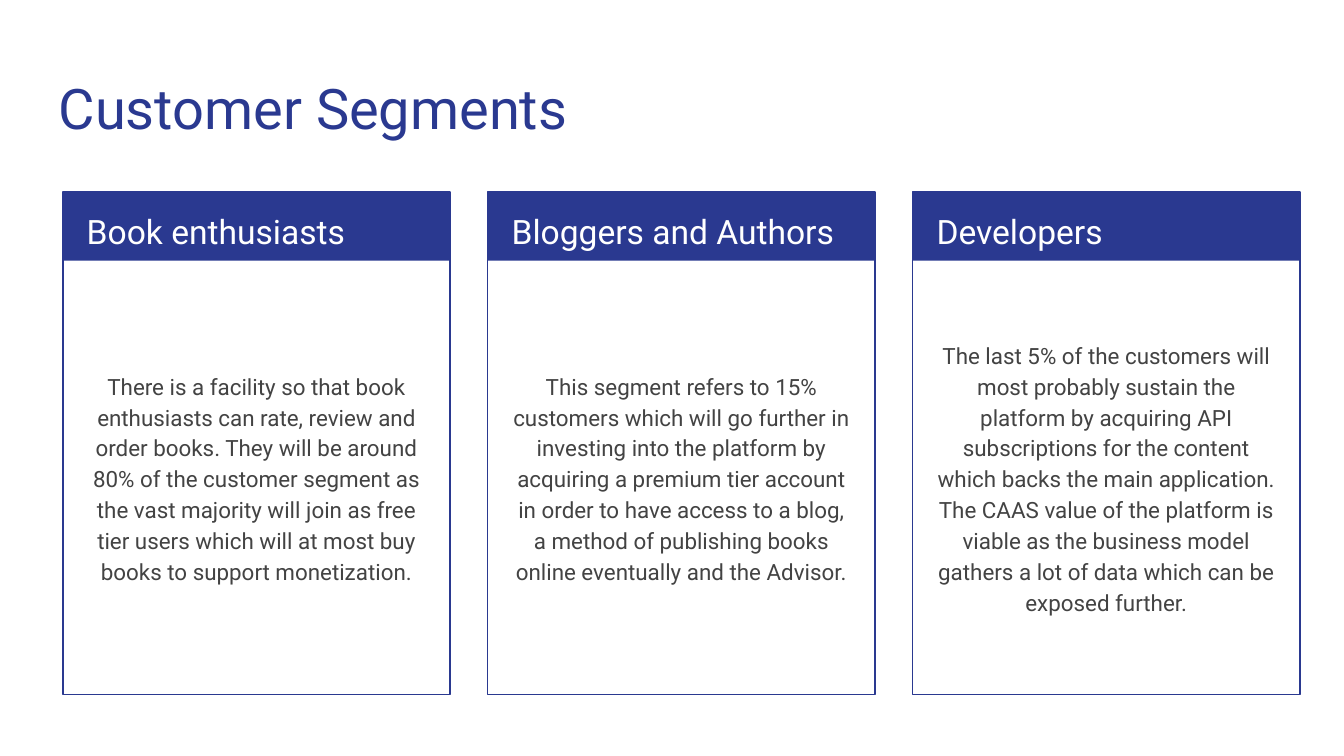
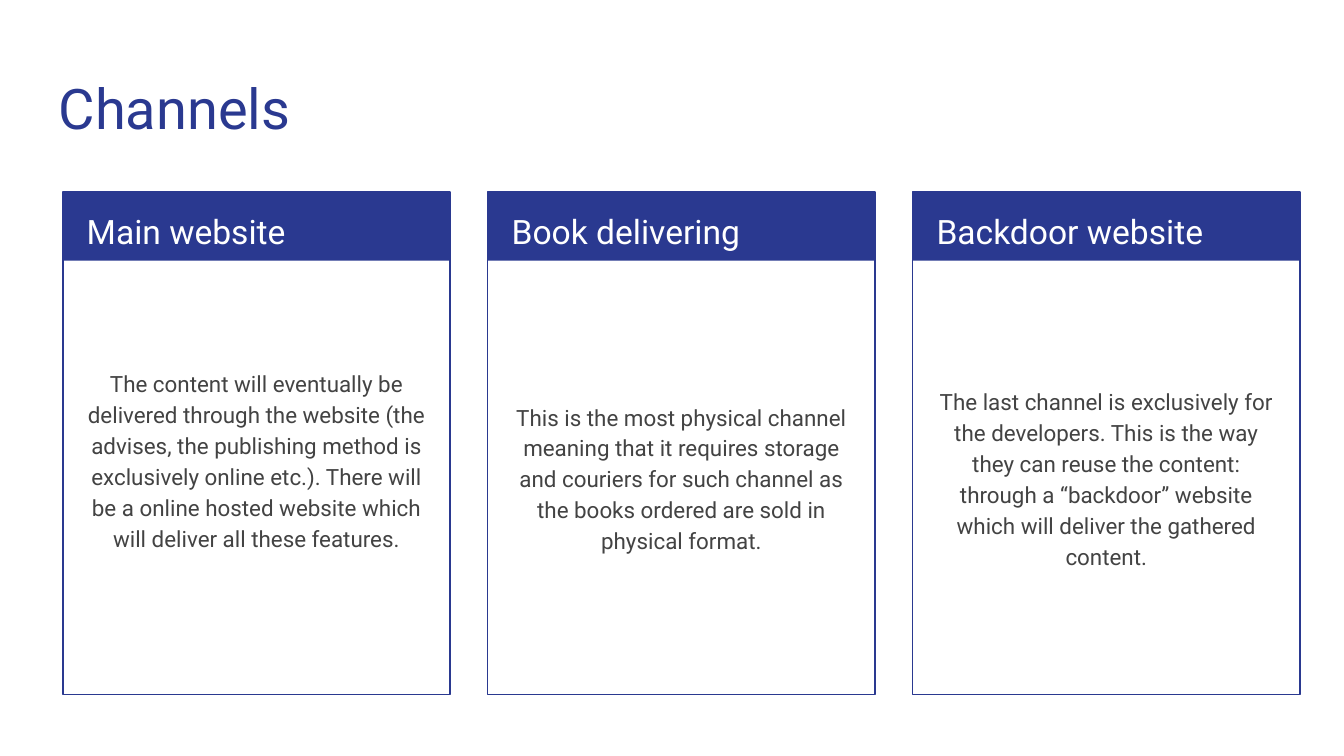
from dataclasses import dataclass

from pptx import Presentation
from pptx.dml.color import RGBColor
from pptx.enum.shapes import MSO_SHAPE as Form
from pptx.enum.text import MSO_ANCHOR as Anchor, MSO_AUTO_SIZE as Fit, PP_ALIGN as Align
from pptx.util import Cm, Pt

NAVY = RGBColor(0x2A, 0x39, 0x90)
GREY = RGBColor(0x43, 0x43, 0x43)
WHITE = RGBColor(0xFF, 0xFF, 0xFF)
FONT = "Roboto"

LEFT, TOP, STEP = 1.19, 3.63, 8.03
WIDE, HIGH, BAND = 7.32, 9.5, 1.3
PAD, INSET = 0.2, 0.25


@dataclass(frozen=True)
class Card:
    head: str
    body: str
    lift: float = 0


@dataclass(frozen=True)
class Page:
    title: str
    cards: tuple[Card, ...]


PAGES = (
    Page("Customer Segments", (
        Card("Book enthusiasts",
             "There is a facility so that book enthusiasts can rate, review and order books. "
             "They will be around 80% of the customer segment as the vast majority will join "
             "as free tier users which will at most buy books to support monetization."),
        Card("Bloggers and Authors",
             "This segment refers to 15% customers which will go further in investing into the "
             "platform by acquiring a premium tier account in order to have access to a blog, "
             "a method of publishing books online eventually and the Advisor."),
        Card("Developers",
             "The last 5% of the customers will most probably sustain the platform by acquiring "
             "API subscriptions for the content which backs the main application. The CAAS value "
             "of the platform is viable as the business model gathers a lot of data which can be "
             "exposed further."),
    )),
    Page("Channels", (
        Card("Main website",
             "The content will eventually be delivered through the website (the advises, the "
             "publishing method is exclusively online etc.). There will be a online hosted "
             "website which will deliver all these features.", lift=0.68),
        Card("Book delivering",
             "This is the most physical channel meaning that it requires storage and couriers "
             "for such channel as the books ordered are sold in physical format."),
        Card("Backdoor website",
             "The last channel is exclusively for the developers. This is the way they can reuse "
             "the content: through a “backdoor” website which will deliver the gathered content."),
    )),
)


def write(shape, text: str, *, size: float, color: RGBColor, align=Align.LEFT,
          anchor=Anchor.TOP, lead: float = 1.15, after: float = 0, lift: float = 0) -> None:
    frame = shape.text_frame
    frame.word_wrap = True
    frame.auto_size = Fit.NONE
    frame.vertical_anchor = anchor
    frame.margin_left = frame.margin_right = frame.margin_top = Cm(INSET)
    frame.margin_bottom = Cm(INSET + lift)
    para = frame.paragraphs[0]
    para.alignment = align
    para.line_spacing = lead
    para.space_before = Pt(0)
    para.space_after = Pt(after)
    run = para.add_run()
    run.text = text
    run.font.name = FONT
    run.font.size = Pt(size)
    run.font.color.rgb = color


def add_box(group, left: float, high: float, solid: bool) -> None:
    box = group.shapes.add_shape(Form.RECTANGLE, Cm(left), Cm(TOP), Cm(WIDE), Cm(high))
    box.shadow.inherit = False
    if solid:
        box.fill.solid()
        box.fill.fore_color.rgb = NAVY
        box.line.fill.background()
    else:
        box.fill.background()
        box.line.color.rgb = NAVY
        box.line.width = Pt(0.75)


def add_card(slide, card: Card, left: float) -> None:
    group = slide.shapes.add_group_shape()
    add_box(group, left, BAND, True)
    add_box(group, left, HIGH, False)
    inner = Cm(left + PAD)
    width = Cm(WIDE - 2 * PAD)
    head = slide.shapes.add_textbox(inner, Cm(TOP), width, Cm(BAND))
    write(head, card.head, size=18, color=WHITE)
    body = slide.shapes.add_textbox(inner, Cm(TOP + 1.5), width, Cm(7.77))
    write(body, card.body, size=12, color=GREY, align=Align.CENTER,
          anchor=Anchor.MIDDLE, after=16, lift=card.lift)


def add_page(deck, page: Page) -> None:
    slide = deck.slides.add_slide(deck.slide_layouts[5])
    title = slide.shapes.title
    title.left, title.top = Cm(0.86), Cm(1.14)
    title.width, title.height = Cm(23.67), Cm(1.68)
    write(title, page.title, size=30, color=NAVY, lead=1.0)
    for index, card in enumerate(page.cards):
        add_card(slide, card, LEFT + index * STEP)


def main() -> None:
    deck = Presentation()
    deck.slide_width, deck.slide_height = Cm(25.4), Cm(14.29)
    for page in PAGES:
        add_page(deck, page)
    deck.save("out.pptx")


if __name__ == "__main__":
    main()
